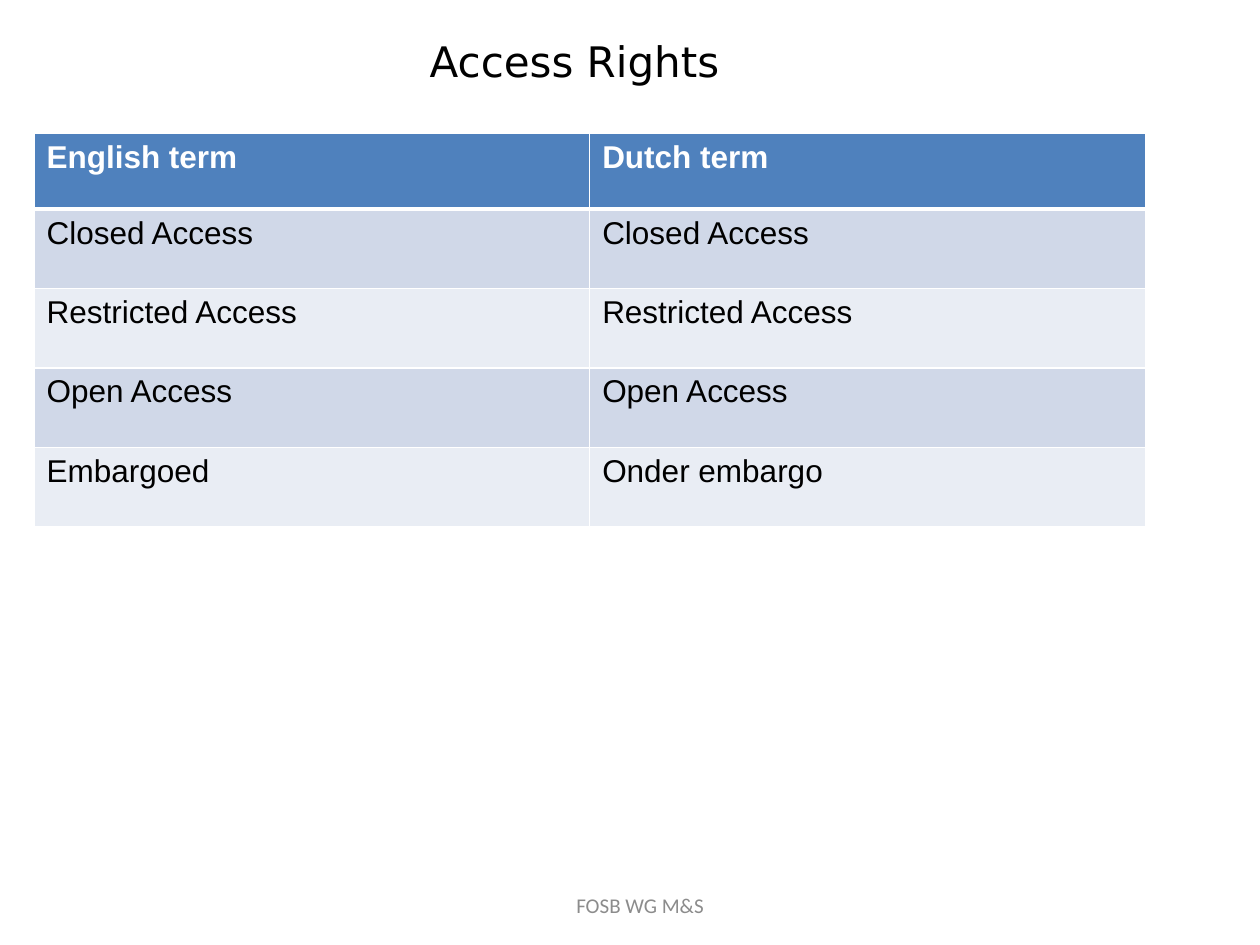
from lxml import etree
from pptx import Presentation
from pptx.dml.color import RGBColor
from pptx.enum.text import MSO_ANCHOR, PP_ALIGN
from pptx.oxml.ns import qn
from pptx.util import Inches, Pt

CENTER, LEFT = PP_ALIGN.CENTER, PP_ALIGN.LEFT
MIDDLE, TOP = MSO_ANCHOR.MIDDLE, MSO_ANCHOR.TOP

# Content
TITLE = "Access Rights"
TERMS = [
    ("English term", "Dutch term"),
    ("Closed Access", "Closed Access"),
    ("Restricted Access", "Restricted Access"),
    ("Open Access", "Open Access"),
    ("Embargoed", "Onder embargo"),
]
FOOTER = "FOSB WG M&S"

THEME = {
    "ink": "000000", "white": "FFFFFF", "muted": "8C8C8C",
    "header": "4F81BD", "bands": ("D0D8E8", "E9EDF4"),
    "title_font": "DejaVu Sans", "table_font": "Arial", "footer_font": "Calibri",
    "title_size": 24, "table_size": 18, "footer_size": 12,
}

# Layout, in inches
TITLE_BOX = (0.38, 0.38, 8.36, 0.21)
FOOTER_BOX = (2.64, 6.98, 4.88, 0.4)
TABLE_LEFT, TABLE_TOP = 0.27, 1.06
COLUMN_WIDTH, HEADER_HEIGHT, ROW_HEIGHT = 4.41, 0.6, 0.63


def write(frame, text, *, font, size, color, bold=False, align=LEFT):
    paragraph = frame.paragraphs[0]
    paragraph.alignment = align
    run = paragraph.add_run()
    run.text = text
    run.font.name = font
    run.font.size = Pt(size)
    run.font.bold = bold
    run.font.color.rgb = RGBColor.from_string(color)


def add_borders(cell, widths):
    """Draw white borders; they must precede the fill in the cell properties."""
    properties = cell._tc.get_or_add_tcPr()
    for side, width in widths.items():
        line = etree.SubElement(properties, qn(f"a:ln{side}"), w=str(Pt(width)))
        fill = etree.SubElement(line, qn("a:solidFill"))
        etree.SubElement(fill, qn("a:srgbClr"), val=THEME["white"])


def add_title(slide):
    title = slide.shapes.title
    title.left, title.top, title.width, title.height = map(Inches, TITLE_BOX)
    title.text_frame.vertical_anchor = MIDDLE
    write(title.text_frame, TITLE, font=THEME["title_font"],
          size=THEME["title_size"], color=THEME["ink"], align=CENTER)


def add_terms(slide):
    heights = [HEADER_HEIGHT] + [ROW_HEIGHT] * (len(TERMS) - 1)
    columns = len(TERMS[0])
    table = slide.shapes.add_table(
        len(TERMS), columns, Inches(TABLE_LEFT), Inches(TABLE_TOP),
        Inches(COLUMN_WIDTH * columns), Inches(sum(heights))).table
    for column in table.columns:
        column.width = Inches(COLUMN_WIDTH)

    for r, (terms, height) in enumerate(zip(TERMS, heights)):
        table.rows[r].height = Inches(height)
        is_header = r == 0
        background = THEME["header"] if is_header else THEME["bands"][(r - 1) % 2]
        widths = {"L": 1, "R": 1, "T": 3 if r == 1 else 1, "B": 3 if is_header else 1}
        for c, term in enumerate(terms):
            cell = table.cell(r, c)
            add_borders(cell, widths)
            cell.fill.solid()
            cell.fill.fore_color.rgb = RGBColor.from_string(background)
            cell.vertical_anchor = TOP
            write(cell.text_frame, term, font=THEME["table_font"],
                  size=THEME["table_size"], bold=is_header,
                  color=THEME["white"] if is_header else THEME["ink"])


def add_footer(slide):
    frame = slide.shapes.add_textbox(*map(Inches, FOOTER_BOX)).text_frame
    frame.word_wrap = True
    frame.vertical_anchor = MIDDLE
    write(frame, FOOTER, font=THEME["footer_font"], size=THEME["footer_size"],
          color=THEME["muted"], align=CENTER)


def main():
    deck = Presentation()
    deck.slide_width, deck.slide_height = Inches(10), Inches(7.5)
    title_only = deck.slide_layouts[5]
    slide = deck.slides.add_slide(title_only)
    add_title(slide)
    add_terms(slide)
    add_footer(slide)
    deck.save("out.pptx")


if __name__ == "__main__":
    main()
